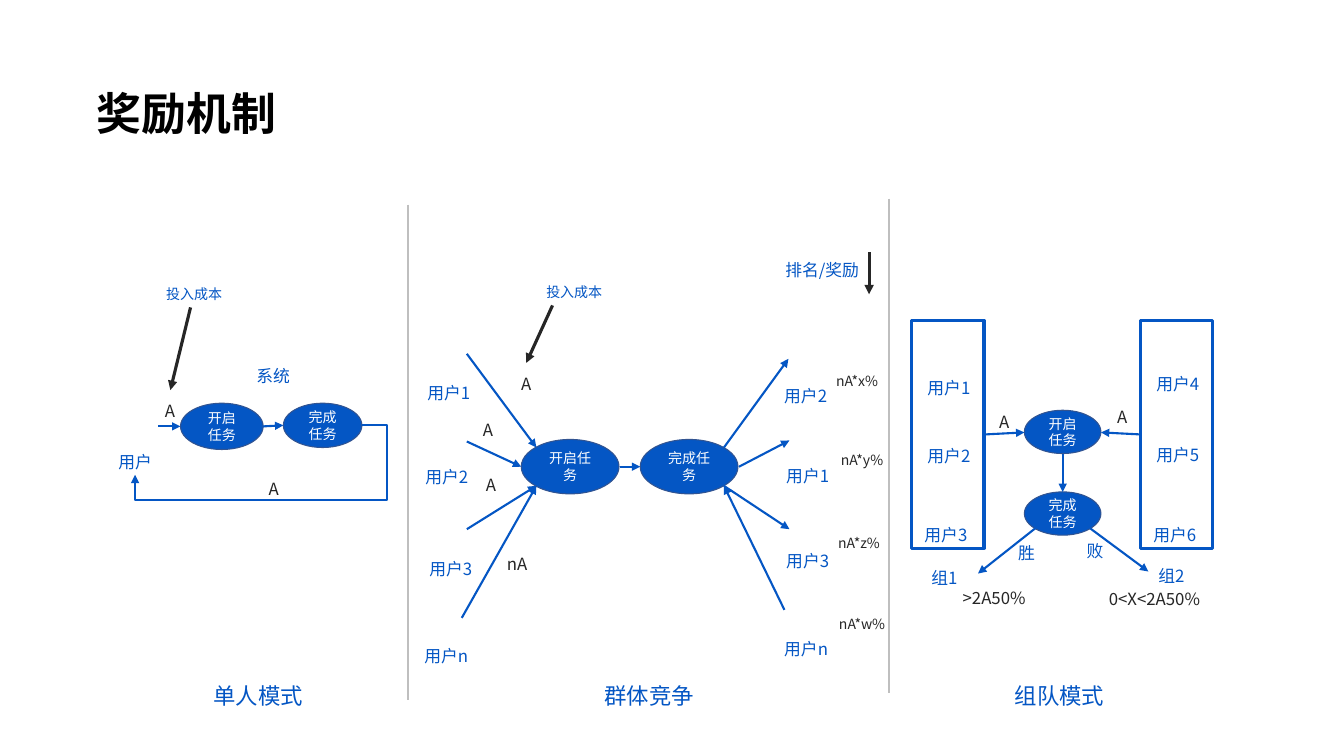
from lxml.etree import SubElement
from pptx import Presentation
from pptx.dml.color import RGBColor
from pptx.enum.shapes import MSO_CONNECTOR, MSO_SHAPE
from pptx.enum.text import MSO_ANCHOR, MSO_AUTO_SIZE, PP_ALIGN
from pptx.oxml.ns import qn
from pptx.util import Pt

PX = 9144  # 100 px to the inch
COLORS = {"blue": "0456C4", "edge": "325491", "dark": "262626",
          "gray": "BFBFBF", "white": "FFFFFF", "black": "000000"}
RGB = {name: RGBColor.from_string(value) for name, value in COLORS.items()}
CJK = "Noto Sans CJK SC"
BOX_HEIGHT = {10: 30, 12: 34, 16: 42, 32: 64}

prs = Presentation()
prs.slide_width, prs.slide_height = 1333 * PX, 750 * PX
s = prs.slides.add_slide(prs.slide_layouts[6])


def write(text, x, y, w=76, sp=None, size=12, color="blue", font=CJK,
          bold=False, center=False, spacing=1.3, wrap=True):
    """Write text into the shape sp, or into a new text box at x, y."""
    if sp is None:
        sp = s.shapes.add_textbox(x * PX, y * PX, w * PX, BOX_HEIGHT[size] * PX)
        sp.text_frame.auto_size = MSO_AUTO_SIZE.SHAPE_TO_FIT_TEXT
    tf = sp.text_frame
    tf.word_wrap = wrap
    p = tf.paragraphs[0]
    p.alignment = PP_ALIGN.CENTER if center else PP_ALIGN.LEFT
    p.line_spacing = spacing
    r = p.add_run()
    r.text = text
    r.font.name, r.font.size, r.font.bold = font, Pt(size), bold
    r.font.color.rgb = RGB[color]
    SubElement(r.font._element, qn("a:ea"), typeface=CJK)


def connect(x1, y1, x2, y2, color="blue", width=1.5, arrow=True,
            kind=MSO_CONNECTOR.STRAIGHT):
    c = s.shapes.add_connector(kind, x1 * PX, y1 * PX, x2 * PX, y2 * PX)
    c.line.color.rgb, c.line.width = RGB[color], Pt(width)
    if arrow:
        SubElement(c.line._get_or_add_ln(), qn("a:tailEnd"), type="triangle")
    SubElement(c._element.spPr, qn("a:effectLst"))
    return c


# Title, mode names and dividers
write("奖励机制", 86, 80, 200, size=32, color="black", font="Arial",
      bold=True, spacing=1.0, wrap=False)
for mode, x in [("单人模式", 189), ("群体竞争", 577), ("组队模式", 984)]:
    write(mode, x, 664, 134, size=16, center=True)
for x, top in [(405, 203), (882, 197)]:
    connect(x, top, x, top + 491, "gray", arrow=False)

# Team frames
for x in (904, 1131):
    sp = s.shapes.add_shape(MSO_SHAPE.RECTANGLE, x * PX, 318 * PX, 72 * PX, 226 * PX)
    sp.shadow.inherit = False
    sp.fill.background()
    sp.line.color.rgb, sp.line.width = RGB["blue"], Pt(2.25)

# Task ellipses
for task, x, y, w, h in [
    ("开启任务", 179, 400, 82, 46), ("完成任务", 281, 400, 78, 44),
    ("开启任务", 517, 436, 97, 54), ("完成任务", 635, 436, 97, 54),
    ("开启任务", 1016, 407, 76, 43), ("完成任务", 1016, 488, 76, 43),
]:
    sp = s.shapes.add_shape(MSO_SHAPE.OVAL, x * PX, y * PX, w * PX, h * PX)
    sp.shadow.inherit = False
    sp.fill.solid()
    sp.fill.fore_color.rgb = RGB["blue"]
    sp.line.color.rgb, sp.line.width = RGB["edge"], 0
    sp.text_frame.vertical_anchor = MSO_ANCHOR.MIDDLE
    write(task, x, y, sp=sp, size=10, color="white", font="Arial",
          center=True, spacing=1.0)

# Flow arrows
for ends in [
    # single player
    (157, 423, 179, 423), (261, 423, 281, 422),
    # group competition
    (463, 351, 532, 444), (463, 438, 517, 463), (463, 525, 532, 482),
    (458, 613, 532, 482), (615, 463, 635, 463), (718, 444, 782, 356),
    (733, 463, 783, 437), (718, 482, 783, 525), (778, 605, 718, 482),
    # teams
    (977, 431, 1016, 429), (1131, 431, 1092, 429), (1054, 450, 1054, 488),
    (1027, 524, 970, 569), (1081, 524, 1139, 567),
]:
    connect(*ends)
for ends in [(189, 305, 169, 387), (548, 303, 522, 360), (862, 250, 862, 292)]:
    connect(*ends, color="dark", width=2.25)

# Return path from the finished task to the user
loop = connect(359, 422, 134, 471, kind=MSO_CONNECTOR.ELBOW)
geom = loop._element.spPr.find(qn("a:prstGeom"))
geom.set("prst", "bentConnector4")
guides = geom.find(qn("a:avLst"))
for name, value in [("adj1", -11100), ("adj2", 150600)]:
    SubElement(guides, qn("a:gd"), name=name, fmla=f"val {value}")

# Blue labels
for label, x, y in [
    ("用户1", 414, 369), ("用户2", 412, 452), ("用户3", 416, 543), ("用户n", 411, 630),
    ("用户2", 768, 372), ("用户1", 770, 451), ("用户3", 770, 535), ("用户n", 768, 623),
    ("用户1", 910, 364), ("用户2", 910, 431), ("用户3", 907, 510),
    ("用户4", 1137, 360), ("用户5", 1137, 430), ("用户6", 1134, 510),
]:
    write(label, x, y)
for label, x, y, w in [("排名/奖励", 769, 247, 94), ("组1", 914, 552, 56),
                       ("组2", 1139, 550, 56), ("胜", 1000, 528, 39),
                       ("败", 1068, 526, 39)]:
    write(label, x, y, w)
for label, x, y in [("用户", 96, 437), ("系统", 233, 352)]:
    write(label, x, y, center=True)
for x, y in [(155, 273), (532, 271)]:
    write("投入成本", x, y, size=10)

# Stakes and payouts
for amount, x, y, w in [
    ("A", 140, 387, 57), ("A", 243, 464, 57), ("A", 484, 360, 76),
    ("A", 446, 406, 76), ("A", 449, 460, 76), ("nA", 475, 538, 76),
    ("A", 958, 398, 76), ("A", 1075, 393, 76),
    (">2A50%", 922, 572, 128), ("0<X<2A50%", 1081, 573, 128),
]:
    write(amount, x, y, w, color="dark", center=True)
for share, x, y in [("x", 812, 360), ("y", 817, 438), ("z", 814, 520), ("w", 817, 601)]:
    write(f"nA*{share}%", x, y, size=10, color="dark", center=True)

prs.save("out.pptx")
